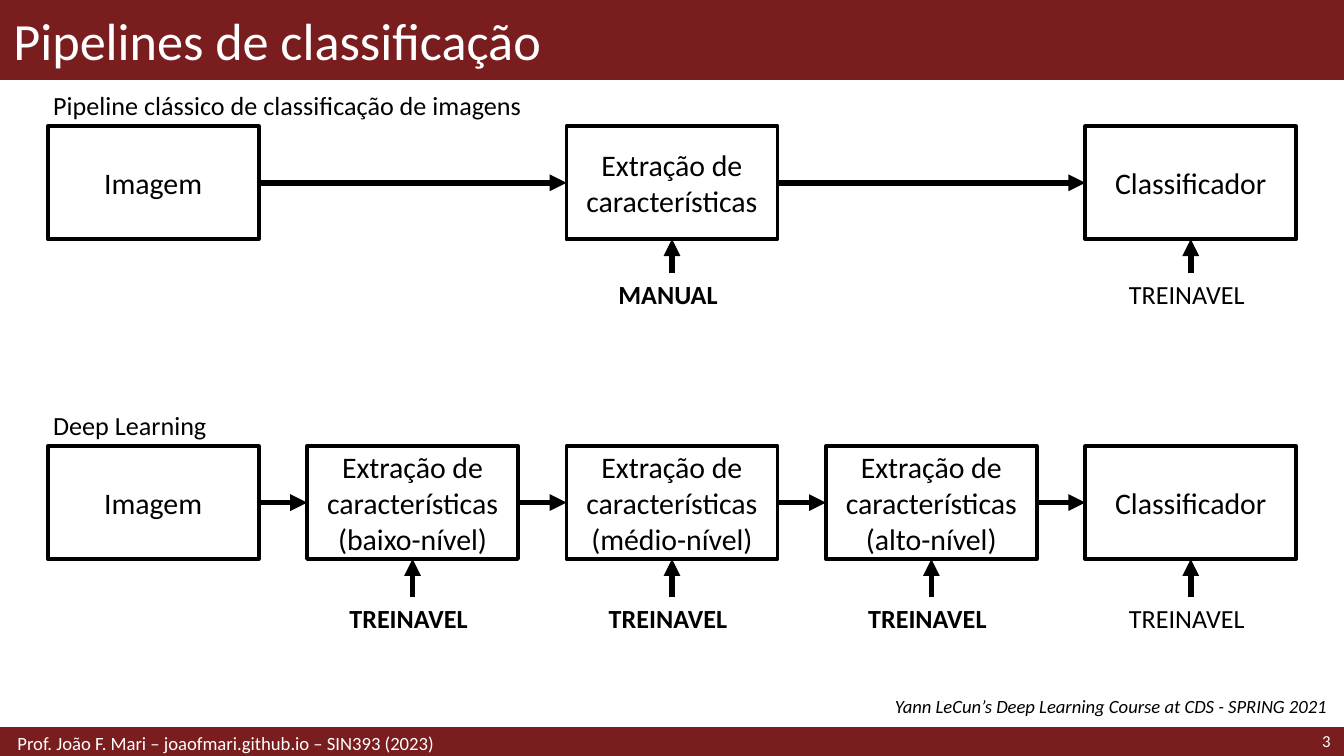
from dataclasses import dataclass
from typing import Optional

from lxml.etree import SubElement
from pptx import Presentation
from pptx.dml.color import RGBColor
from pptx.enum.shapes import MSO_CONNECTOR, MSO_SHAPE
from pptx.enum.text import MSO_ANCHOR, MSO_AUTO_SIZE, PP_ALIGN
from pptx.oxml.ns import qn
from pptx.util import Inches, Pt

COLORS = {"wine": "791D1F", "ink": "000000", "paper": "FFFFFF"}
FRAME = {
    "word_wrap": True,
    "auto_size": MSO_AUTO_SIZE.NONE,
    "vertical_anchor": MSO_ANCHOR.MIDDLE,
}
CAPTION_INSETS = {"margin_left": Inches(0.04), "margin_right": Inches(0.1)}

SLIDE_WIDTH = 10
SLIDE_HEIGHT = SLIDE_WIDTH * 9 / 16
STEP = 1.93
STAGE_WIDTH = 1.57
STAGE_HEIGHT = 0.84
LEFT = (SLIDE_WIDTH - STAGE_WIDTH) / 2 - 2 * STEP
CAPTION_HEIGHT = 0.31
TOP, LEFT_SIDE, BOTTOM, RIGHT_SIDE = range(4)


@dataclass
class Stage:
    column: int
    lines: list[str]
    training: Optional[str] = None
    bold: bool = False


@dataclass
class Pipeline:
    heading: str
    top: float
    training_top: float
    stages: list[Stage]


FEATURES = "Extração de características"
PIPELINES = [
    Pipeline("Pipeline clássico de classificação de imagens", 0.94, 2.03, [
        Stage(0, ["Imagem"]),
        Stage(2, [FEATURES], "MANUAL", True),
        Stage(4, ["Classificador"], "TREINAVEL"),
    ]),
    Pipeline("Deep Learning", 3.32, 4.44, [
        Stage(0, ["Imagem"]),
        Stage(1, [FEATURES, "(baixo-nível)"], "TREINAVEL", True),
        Stage(2, [FEATURES, "(médio-nível)"], "TREINAVEL", True),
        Stage(3, [FEATURES, "(alto-nível)"], "TREINAVEL", True),
        Stage(4, ["Classificador"], "TREINAVEL"),
    ]),
]


def color(key: str) -> RGBColor:
    return RGBColor.from_string(COLORS[key])


def write(holder, lines: list[str], size: float, ink: str = "ink",
          align=PP_ALIGN.LEFT, frame: Optional[dict] = None, **font) -> None:
    words = holder.text_frame
    for key, value in {**FRAME, **(frame or {})}.items():
        setattr(words, key, value)
    words.text = "\n".join(lines)
    for paragraph in words.paragraphs:
        paragraph.alignment = align
        for key, value in {"name": "Calibri", "size": Pt(size), **font}.items():
            setattr(paragraph.font, key, value)
        paragraph.font.color.rgb = color(ink)


def add_text(slide, area: tuple, line: str, size: float, **style):
    holder = slide.shapes.add_textbox(*map(Inches, area))
    write(holder, [line], size, **style)
    return holder


def add_box(slide, area: tuple, line: str, width: float, fill: Optional[str] = None):
    box = slide.shapes.add_shape(MSO_SHAPE.RECTANGLE, *map(Inches, area))
    box.shadow.inherit = False
    if fill:
        box.fill.solid()
        box.fill.fore_color.rgb = color(fill)
    else:
        box.fill.background()
    box.line.color.rgb = color(line)
    box.line.width = Pt(width)
    return box


def add_arrow(slide, source, source_side: int, target, target_side: int) -> None:
    arrow = slide.shapes.add_connector(MSO_CONNECTOR.STRAIGHT, 0, 0, 0, 0)
    arrow.begin_connect(source, source_side)
    arrow.end_connect(target, target_side)
    arrow.line.color.rgb = color("ink")
    arrow.line.width = Pt(3)
    properties = arrow.element.spPr
    SubElement(properties.get_or_add_ln(), qn("a:tailEnd"), type="triangle")
    SubElement(properties, qn("a:effectLst"))


def add_pipeline(slide, pipeline: Pipeline) -> None:
    add_text(slide, (LEFT, pipeline.top - CAPTION_HEIGHT, 5.51, CAPTION_HEIGHT),
             pipeline.heading, 14, frame=CAPTION_INSETS)
    previous = None
    for stage in pipeline.stages:
        left = LEFT + STEP * stage.column
        box = add_box(slide, (left, pipeline.top, STAGE_WIDTH, STAGE_HEIGHT), "ink", 2)
        write(box, stage.lines, 16, align=PP_ALIGN.CENTER)
        if previous:
            add_arrow(slide, previous, RIGHT_SIDE, box, LEFT_SIDE)
        if stage.training:
            training = add_text(
                slide, (left, pipeline.training_top, STAGE_WIDTH, CAPTION_HEIGHT),
                stage.training, 14, align=PP_ALIGN.CENTER,
                frame=CAPTION_INSETS, bold=stage.bold)
            add_arrow(slide, training, TOP, box, BOTTOM)
        previous = box


def main() -> None:
    deck = Presentation()
    deck.slide_width, deck.slide_height = Inches(SLIDE_WIDTH), Inches(SLIDE_HEIGHT)
    slide = deck.slides.add_slide(deck.slide_layouts[5])

    header = (0, 0, SLIDE_WIDTH, 0.59)
    add_box(slide, header, "wine", 1, "wine")
    add_box(slide, (0, 5.42, SLIDE_WIDTH, 0.21), "wine", 2, "wine")

    title = slide.shapes.title
    title.element.getparent().append(title.element)
    title.left, title.top, title.width, title.height = map(Inches, header)
    write(title, ["Pipelines de classificação"], 28, "paper")

    add_text(slide, (8.86, 5.41, 1.14, 0.21), "3", 9, ink="paper", align=PP_ALIGN.RIGHT)
    add_text(slide, (0, 5.42, 6.89, 0.21),
             "Prof. João F. Mari – joaofmari.github.io – SIN393 (2023)", 10,
             ink="paper", frame={"margin_left": Inches(0.13)})

    for pipeline in PIPELINES:
        add_pipeline(slide, pipeline)

    add_text(slide, (0, 5.12, SLIDE_WIDTH, 0.27),
             "Yann LeCun’s Deep Learning Course at CDS - SPRING 2021", 10,
             align=PP_ALIGN.RIGHT, frame={"margin_right": Inches(0.13)}, italic=True)
    deck.save("out.pptx")


if __name__ == "__main__":
    main()
